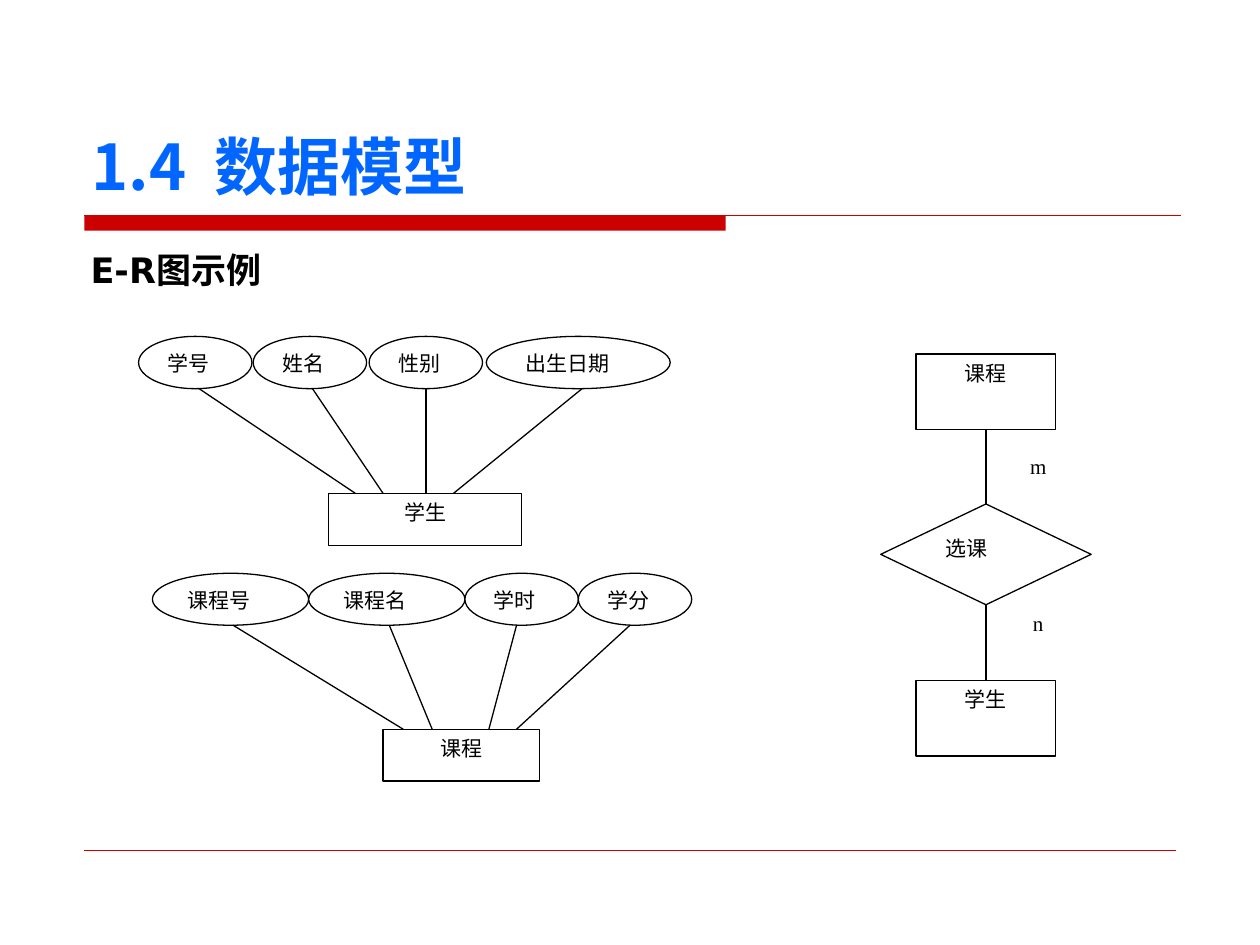
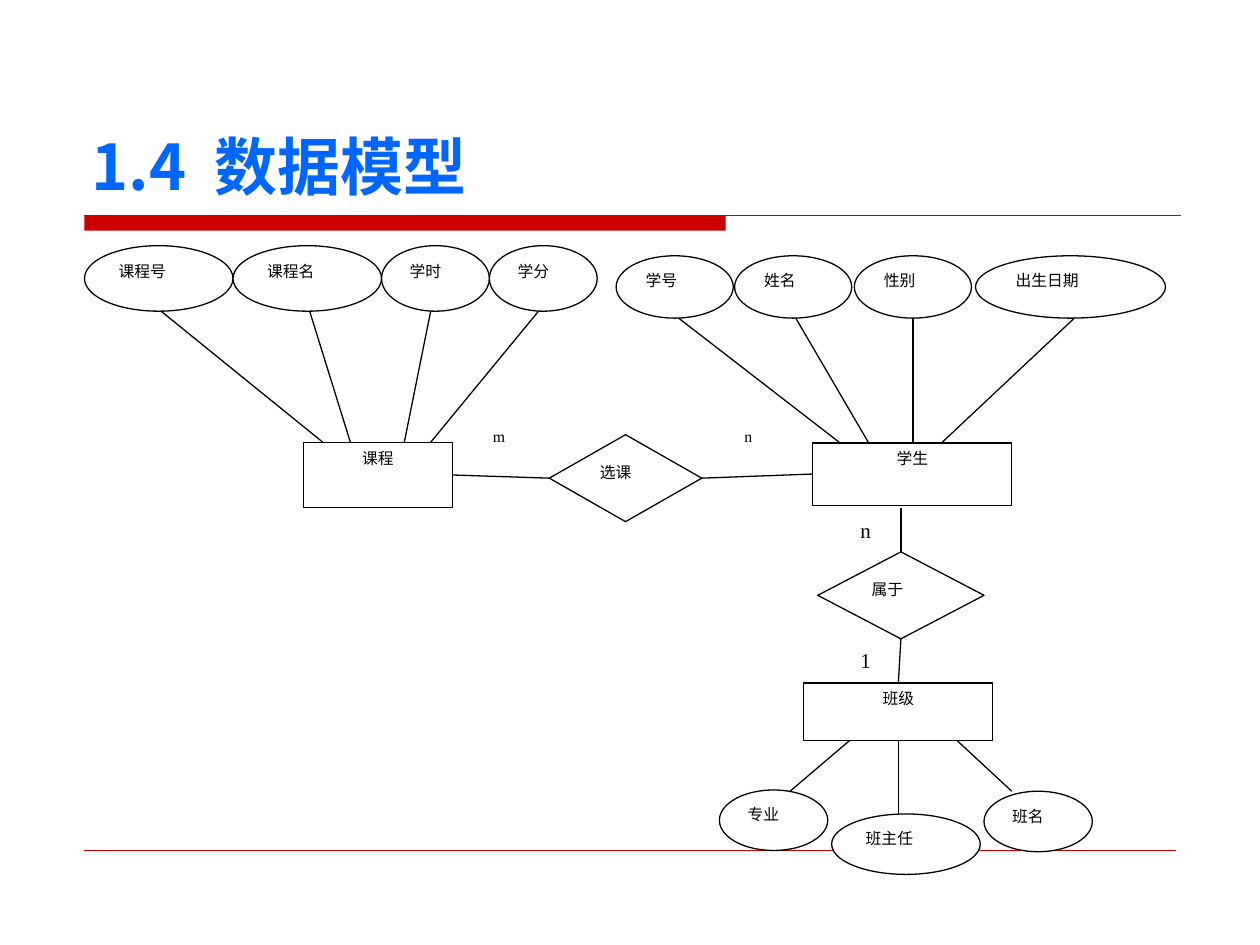
from collections import namedtuple

from lxml import etree
from pptx import Presentation
from pptx.dml.color import RGBColor
from pptx.enum.shapes import MSO_CONNECTOR, MSO_SHAPE
from pptx.enum.text import MSO_ANCHOR, PP_ALIGN
from pptx.oxml.ns import qn
from pptx.util import Inches, Pt

RED = RGBColor(0xCC, 0x00, 0x00)
BLUE = RGBColor(0x00, 0x66, 0xFF)
BLACK = RGBColor(0x00, 0x00, 0x00)
WHITE = RGBColor(0xFF, 0xFF, 0xFF)
TITLE_FONT = "Noto Sans CJK SC"
HEADING_FONT = "DejaVu Sans"
DIAGRAM_FONT = "Times New Roman"
RECTANGLE, OVAL, DIAMOND = MSO_SHAPE.RECTANGLE, MSO_SHAPE.OVAL, MSO_SHAPE.DIAMOND
STRAIGHT = MSO_CONNECTOR.STRAIGHT
LEFT, CENTER = PP_ALIGN.LEFT, PP_ALIGN.CENTER
TOP_ANCHOR, BOTTOM_ANCHOR = MSO_ANCHOR.TOP, MSO_ANCHOR.BOTTOM
TOP, LEFT_SIDE, BOTTOM, RIGHT_SIDE = range(4)

Box = namedtuple("Box", "left top width height")
Entity = namedtuple("Entity", "name width left entity_width attributes")
Attribute = namedtuple("Attribute", "name left width spoke_start spoke_end")

STUDENT = Entity("学生", 4.22, 1.51, 1.53, [
    Attribute("学号", 0, 0.9, 0.48, 1.72),
    Attribute("姓名", 0.91, 0.9, 1.38, 1.94),
    Attribute("性别", 1.83, 0.9, 2.28, 2.28),
    Attribute("出生日期", 2.76, 1.46, 3.52, 2.5),
])
COURSE = Entity("课程", 4.28, 1.83, 1.24, [
    Attribute("课程号", 0, 1.24, 0.64, 1.99),
    Attribute("课程名", 1.24, 1.24, 1.88, 2.22),
    Attribute("学时", 2.48, 0.9, 2.89, 2.67),
    Attribute("学分", 3.38, 0.9, 3.79, 2.89),
])


def inches(box):
    """Convert a box to lengths."""
    return [Inches(value) for value in box]


def add_span(para, text, font, size, color, bold=False):
    """Add one run with its Latin and East Asian fonts."""
    span = para.add_run()
    span.text = text
    span.font.name = font
    span.font.size = Pt(size)
    span.font.bold = bold
    span.font.color.rgb = color
    properties = span._r.get_or_add_rPr()
    etree.SubElement(properties, qn("a:ea")).set("typeface", TITLE_FONT)
    return span


def add_text_box(page, box, anchor):
    """Add a wrapping text box and return its first paragraph."""
    frame = page.shapes.add_textbox(*inches(box)).text_frame
    frame.word_wrap = True
    frame.vertical_anchor = anchor
    return frame.paragraphs[0]


def add_node(page, kind, box, text, size, outlined=True):
    """Add a white diagram shape with its name at the top."""
    node = page.shapes.add_shape(kind, *inches(box))
    node.shadow.inherit = False
    node.fill.solid()
    node.fill.fore_color.rgb = WHITE
    if outlined:
        node.line.color.rgb = BLACK
        node.line.width = Pt(0.75)
    else:
        node.line.fill.background()
    frame = node.text_frame
    frame.word_wrap = True
    frame.vertical_anchor = TOP_ANCHOR
    para = frame.paragraphs[0]
    para.alignment = CENTER if kind == RECTANGLE else LEFT
    add_span(para, text, DIAGRAM_FONT, size, BLACK)
    return node


def add_line(page, start, end, color=BLACK, width=0.75):
    """Add a straight line without a shadow."""
    line = page.shapes.add_connector(STRAIGHT, *inches(start + end))
    line.line.color.rgb = color
    line.line.width = Pt(width)
    etree.SubElement(line._element.spPr, qn("a:effectLst"))
    return line


def join(page, first, first_side, second, second_side):
    """Link the middles of two sides."""
    line = add_line(page, (0, 0), (1, 1))
    line.begin_connect(first, first_side)
    line.end_connect(second, second_side)


def add_frame(page):
    """Add the title, the band and the footer rule."""
    band = page.shapes.add_shape(RECTANGLE, *inches(Box(0.67, 1.71, 5.09, 0.12)))
    band.shadow.inherit = False
    band.fill.solid()
    band.fill.fore_color.rgb = RED
    band.line.fill.background()
    add_line(page, (0.67, 1.71), (9.37, 1.71), RED)
    add_line(page, (0.67, 6.75), (9.33, 6.75), RED, 0.25)
    para = add_text_box(page, Box(0.63, 0.33, 8.75, 1.33), BOTTOM_ANCHOR)
    add_span(para, "1.4", TITLE_FONT, 36, BLUE, True)
    gap = add_span(para, " ", TITLE_FONT, 36, BLUE, True)
    gap._r.get_or_add_rPr().set("spc", "800")
    add_span(para, "数据模型", TITLE_FONT, 36, BLUE, True)


def add_entity(page, box, entity, size):
    """Fan an entity's attributes out above it, scaled to the box."""
    scale = box.width / entity.width
    node_height = box.height / 4
    spoke_top = box.top + node_height
    entity_top = box.top + 3 * node_height

    def across(offset):
        return box.left + offset * scale

    node = add_node(page, RECTANGLE, Box(across(entity.left), entity_top,
                                         entity.entity_width * scale, node_height),
                    entity.name, size)
    for item in entity.attributes:
        add_node(page, OVAL, Box(across(item.left), box.top, item.width * scale, node_height),
                 item.name, size)
        add_line(page, (across(item.spoke_start), spoke_top),
                 (across(item.spoke_end), entity_top))
    return node


def add_enrolment(page, box):
    """Stack course, enrolment and student from top to bottom."""
    m_label = add_node(page, RECTANGLE, Box(box.left + 0.97, box.top + 0.6, 0.56, 0.6),
                       "m", 12, False)
    m_label.text_frame.margin_top = Inches(0.19)
    add_node(page, RECTANGLE, Box(box.left + 0.97, box.top + 1.99, 0.56, 0.6), "n", 12, False)
    course, student = [
        add_node(page, RECTANGLE, Box(box.left + 0.28, top, 1.11, 0.6), name, 12)
        for name, top in (("课程", box.top), ("学生", box.top + box.height - 0.6))]
    enrolment = add_node(page, DIAMOND, Box(box.left, box.top + 1.19, box.width, 0.8),
                         "选课", 12)
    join(page, course, BOTTOM, enrolment, TOP)
    join(page, enrolment, BOTTOM, student, TOP)


def add_class(page, box):
    """Add the class entity with its attributes below it."""
    spokes = [((1.42, 0.45), (1.42, 1.07)), ((1.16, 0.35), (0.56, 0.86)),
              ((1.77, 0.35), (2.32, 0.86))]
    for start, end in spokes:
        add_line(page, (box.left + start[0], box.top + start[1]),
                 (box.left + end[0], box.top + end[1]))
    node = add_node(page, RECTANGLE, Box(box.left + 0.67, box.top, 1.5, 0.46), "班级", 9)
    for name, left, top, width in (("班名", 2.1, 0.86, 0.86), ("班主任", 0.89, 1.04, 1.18),
                                   ("专业", 0, 0.85, 0.86)):
        add_node(page, OVAL, Box(box.left + left, box.top + top, width, 0.48), name, 9)
    return node


def build_examples(deck):
    """Build the slide of separate E-R examples."""
    page = deck.slides.add_slide(deck.slide_layouts[6])
    add_frame(page)
    para = add_text_box(page, Box(0.62, 1.92, 8.75, 0.5), TOP_ANCHOR)
    add_span(para, "E-R图示例", HEADING_FONT, 20, BLACK, True)
    add_entity(page, Box(1.1, 2.67, 4.22, 1.66), STUDENT, 12)
    add_entity(page, Box(1.21, 4.55, 4.28, 1.65), COURSE, 12)
    add_enrolment(page, Box(6.99, 2.81, 1.67, 3.19))


def build_combined(deck):
    """Build the slide of the combined E-R diagram."""
    page = deck.slides.add_slide(deck.slide_layouts[6])
    add_frame(page)
    for text, size, box in (("n", 12, Box(6.65, 4.06, 0.44, 0.39)),
                            ("1", 12, Box(6.65, 5.09, 0.44, 0.52)),
                            ("n", 9, Box(5.72, 3.34, 0.44, 0.52)),
                            ("m", 9, Box(3.74, 3.34, 0.44, 0.52))):
        add_node(page, RECTANGLE, box, text, size, False)
    group = add_class(page, Box(5.71, 5.42, 2.96, 1.52))
    course = add_entity(page, Box(0.67, 1.95, 4.07, 2.08), COURSE, 9)
    student = add_entity(page, Box(4.89, 2.03, 4.36, 1.98), STUDENT, 9)
    enrolment = add_node(page, DIAMOND, Box(4.36, 3.45, 1.21, 0.69), "选课", 9)
    membership = add_node(page, DIAMOND, Box(6.49, 4.38, 1.32, 0.69), "属于", 9)
    join(page, enrolment, LEFT_SIDE, course, RIGHT_SIDE)
    join(page, enrolment, RIGHT_SIDE, student, LEFT_SIDE)
    add_line(page, (7.15, 4.03), (7.15, 4.38)).end_connect(membership, TOP)
    join(page, membership, BOTTOM, group, TOP)


def main():
    """Build and save the deck."""
    deck = Presentation()
    deck.slide_width, deck.slide_height = Inches(10), Inches(7.5)
    build_examples(deck)
    build_combined(deck)
    deck.save("out.pptx")


if __name__ == "__main__":
    main()
